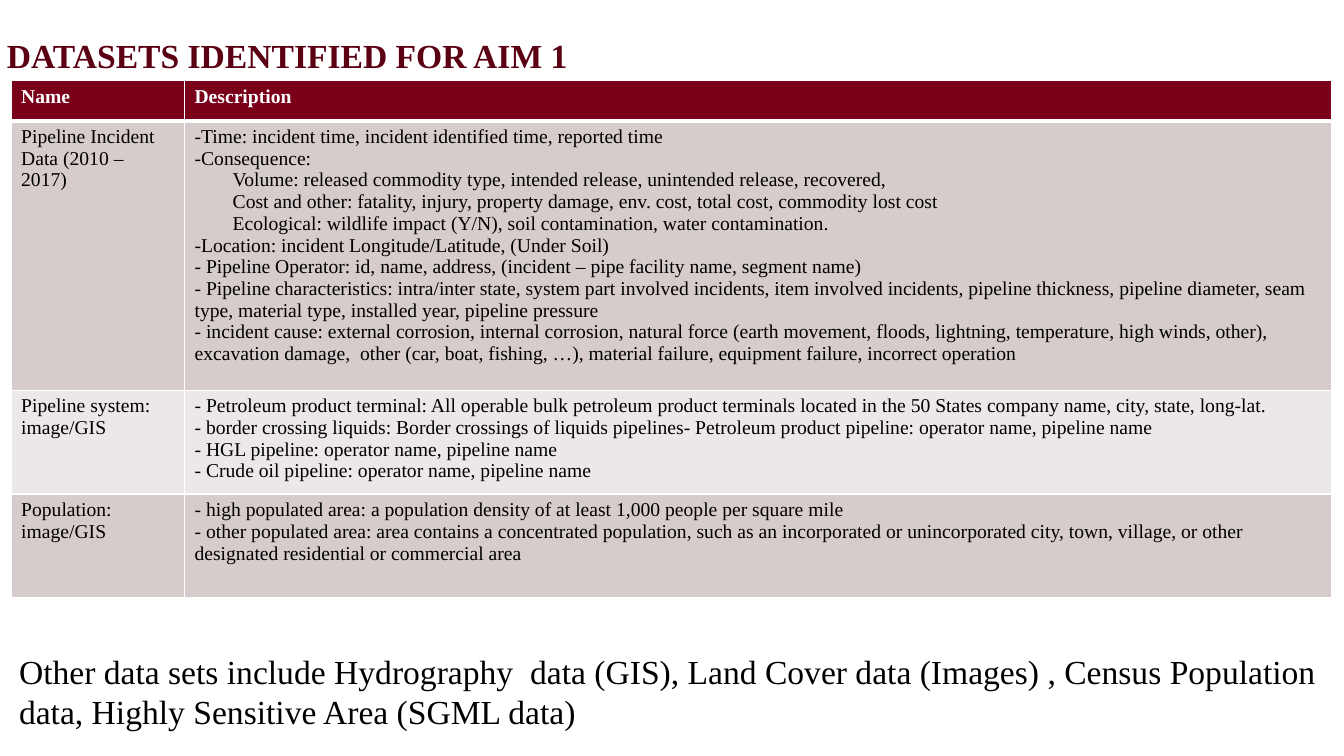
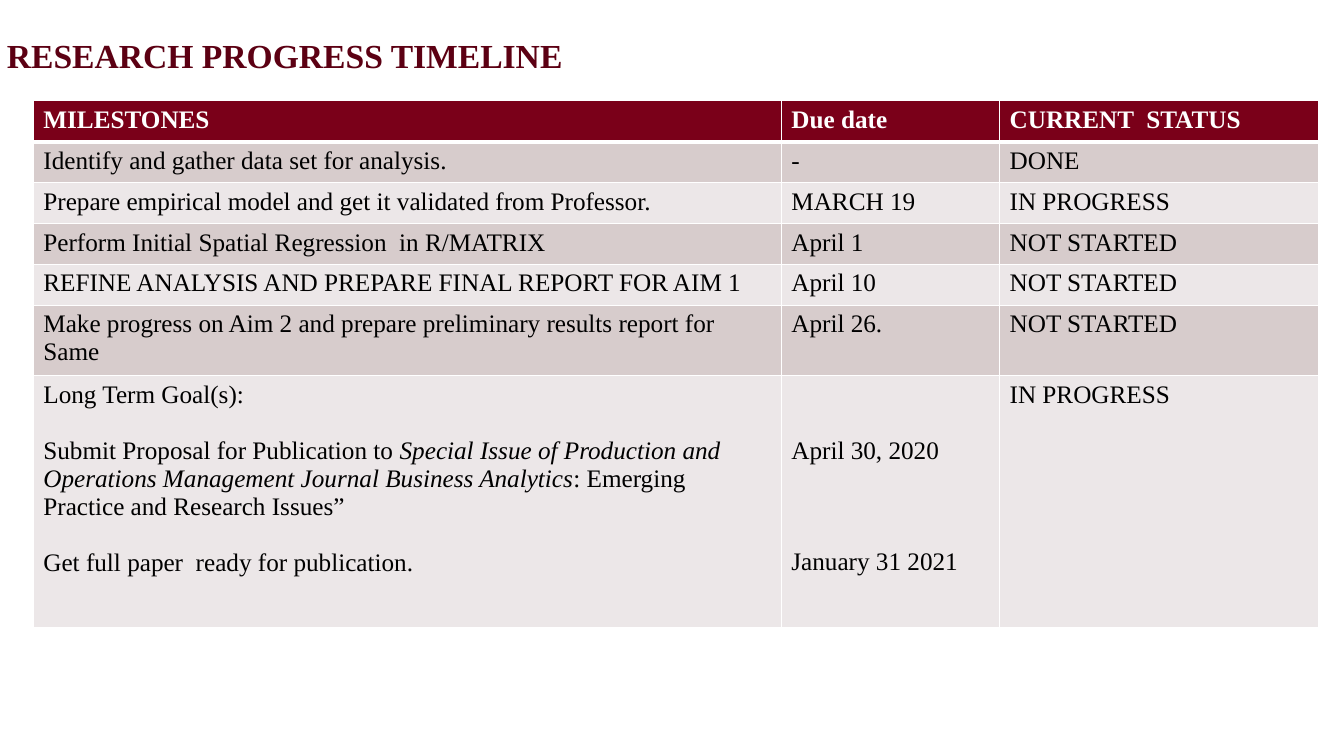
import dataclasses

import lxml.etree
import pptx
import pptx.dml.color
import pptx.enum.text
import pptx.oxml.ns
import pptx.util

Cm = pptx.util.Cm
Pt = pptx.util.Pt


@dataclasses.dataclass(frozen=True)
class Theme:
    font: str = "Times New Roman"
    heading: str = "5C0013"
    header: str = "7A0019"
    bands: tuple = ("D7CCCC", "ECE7E8")
    white: str = "FFFFFF"
    black: str = "000000"
    large: int = 24
    medium: int = 18
    small: int = 14
    rule: int = 1
    header_rule: int = 3


@dataclasses.dataclass(frozen=True)
class Para:
    text: str
    italic: str = ""
    tail: str = ""
    indent: float = 0
    gap: float = 0


@dataclasses.dataclass(frozen=True)
class Entry:
    paras: tuple
    top: float = 0.13


THEME = Theme()
LINE = 20
SUBITEM = 0.96

DATASETS = [
    ["Name", "Description"],
    ["Pipeline Incident Data (2010 – 2017)", Entry((
        Para("-Time: incident time, incident identified time, reported time"),
        Para("-Consequence:"),
        Para("Volume: released commodity type, intended release, unintended release, recovered,",
             indent=SUBITEM),
        Para("Cost and other: fatality, injury, property damage, env. cost, total cost, "
             "commodity lost cost", indent=SUBITEM),
        Para("Ecological: wildlife impact (Y/N), soil contamination, water contamination.",
             indent=SUBITEM),
        Para("-Location: incident Longitude/Latitude, (Under Soil)"),
        Para("- Pipeline Operator: id, name, address, (incident – pipe facility name, "
             "segment name)"),
        Para("- Pipeline characteristics: intra/inter state, system part involved incidents, "
             "item involved incidents, pipeline thickness, pipeline diameter, seam type, "
             "material type, installed year, pipeline pressure"),
        Para("- incident cause: external corrosion, internal corrosion, natural force "
             "(earth movement, floods, lightning, temperature, high winds, other), "
             "excavation damage,  other (car, boat, fishing, …), material failure, "
             "equipment failure, incorrect operation"),
    ))],
    ["Pipeline system: image/GIS", Entry((
        Para("- Petroleum product terminal: All operable bulk petroleum product terminals "
             "located in the 50 States company name, city, state, long-lat."),
        Para("- border crossing liquids: Border crossings of liquids pipelines- Petroleum "
             "product pipeline: operator name, pipeline name"),
        Para("- HGL pipeline: operator name, pipeline name"),
        Para("- Crude oil pipeline: operator name, pipeline name"),
    ))],
    ["Population: image/GIS", Entry((
        Para("- high populated area: a population density of at least 1,000 people per "
             "square mile"),
        Para("- other populated area: area contains a concentrated population, such as an "
             "incorporated or unincorporated city, town, village, or other designated "
             "residential or commercial area"),
    ))],
]

MILESTONES = [
    ["MILESTONES", "Due date", "CURRENT  STATUS"],
    ["Identify and gather data set for analysis.", "-", "DONE"],
    ["Prepare empirical model and get it validated from Professor.", "MARCH 19", "IN PROGRESS"],
    ["Perform Initial Spatial Regression  in R/MATRIX", "April 1", "NOT STARTED"],
    ["REFINE ANALYSIS AND PREPARE FINAL REPORT FOR AIM 1", "April 10", "NOT STARTED"],
    ["Make progress on Aim 2 and prepare preliminary results report for Same", "April 26.",
     "NOT STARTED"],
    [Entry((
        Para("Long Term Goal(s):"),
        Para("Submit Proposal for Publication to ",
             "Special Issue of Production and Operations Management Journal Business Analytics",
             ": Emerging Practice and Research Issues”", gap=LINE),
        Para("Get full paper  ready for publication.", gap=LINE),
    )), Entry((
        Para("April 30, 2020"),
        Para("January 31 2021", gap=3 * LINE),
    ), top=1.53), "IN PROGRESS"],
]


def apply(target, formats):
    for name, value in formats.items():
        setattr(target, name, value)


def write(frame, paras, size, color, bold=False):
    for index, para in enumerate(paras):
        line = frame.paragraphs[0] if index == 0 else frame.add_paragraph()
        apply(line, {
            "alignment": pptx.enum.text.PP_ALIGN.LEFT,
            "line_spacing": 1.0,
            "space_before": Pt(para.gap),
            "space_after": Pt(0),
        })
        if para.indent:
            properties = line._p.get_or_add_pPr()
            properties.set("marL", str(Cm(para.indent)))
            properties.set("indent", "0")
        for text, italic in ((para.text, False), (para.italic, True), (para.tail, False)):
            if text:
                run = line.add_run()
                run.text = text
                apply(run.font, {"name": THEME.font, "size": Pt(size), "bold": bold,
                                 "italic": italic})
                run.font.color.rgb = pptx.dml.color.RGBColor.from_string(color)


def write_block(block, box, text, color, bold=False):
    left, top, width, height = map(Cm, box)
    apply(block, {"left": left, "top": top, "width": width, "height": height})
    apply(block.text_frame, {
        "word_wrap": True,
        "auto_size": pptx.enum.text.MSO_AUTO_SIZE.NONE,
        "vertical_anchor": pptx.enum.text.MSO_ANCHOR.TOP,
    })
    write(block.text_frame, [Para(text)], THEME.large, color, bold)


def add_titled_slide(deck, title):
    slide = deck.slides.add_slide(deck.slide_layouts.get_by_name("Title Only"))
    write_block(slide.shapes.title, (-0.08, 0.74, 33.86, 1.27), title, THEME.heading, True)
    return slide


def add_note(slide, box, text):
    write_block(slide.shapes.add_textbox(0, 0, 0, 0), box, text, THEME.black)


def draw_borders(cell, row):
    widths = {
        "lnL": THEME.rule,
        "lnR": THEME.rule,
        "lnT": THEME.header_rule if row == 1 else THEME.rule,
        "lnB": THEME.header_rule if row == 0 else THEME.rule,
    }
    properties = cell._tc.get_or_add_tcPr()
    qn = pptx.oxml.ns.qn
    for side, width in widths.items():
        border = lxml.etree.SubElement(properties, qn(f"a:{side}"), w=str(Pt(width)))
        fill = lxml.etree.SubElement(border, qn("a:solidFill"))
        lxml.etree.SubElement(fill, qn("a:srgbClr"), val=THEME.white)


def fill_cell(cell, row, content, size):
    entry = content if isinstance(content, Entry) else Entry((Para(content),))
    is_header = row == 0
    background = THEME.header if is_header else THEME.bands[(row - 1) % 2]
    draw_borders(cell, row)
    cell.fill.solid()
    cell.fill.fore_color.rgb = pptx.dml.color.RGBColor.from_string(background)
    cell.margin_top = Cm(entry.top)
    write(cell.text_frame, entry.paras, size, THEME.white if is_header else THEME.black, is_header)


def add_grid(slide, left, top, widths, heights, rows, size):
    grid = slide.shapes.add_table(len(heights), len(widths), Cm(left), Cm(top),
                                  Cm(sum(widths)), Cm(sum(heights))).table
    for column, width in zip(grid.columns, widths):
        column.width = Cm(width)
    for index, (height, contents) in enumerate(zip(heights, rows)):
        grid.rows[index].height = Cm(height)
        for position, content in enumerate(contents):
            fill_cell(grid.cell(index, position), index, content, size)


def main():
    deck = pptx.Presentation()
    apply(deck, {"slide_width": Cm(33.87), "slide_height": Cm(19.05)})

    datasets = add_titled_slide(deck, "DATASETS IDENTIFIED FOR AIM 1")
    add_grid(datasets, 0.28, 2.03, [4.37, 28.9], [1.02, 6.78, 2.62, 2.62], DATASETS, THEME.small)
    add_note(datasets, (0.23, 16.28, 33.22, 2.31),
             "Other data sets include Hydrography  data (GIS), Land Cover data (Images) , "
             "Census Population data, Highly Sensitive Area (SGML data)")

    timeline = add_titled_slide(deck, "RESEARCH PROGRESS TIMELINE")
    add_grid(timeline, 0.84, 2.54, [18.85, 5.5, 8.05], [1.03] * 5 + [1.78, 6.35], MILESTONES,
             THEME.medium)

    deck.save("out.pptx")


if __name__ == "__main__":
    main()
